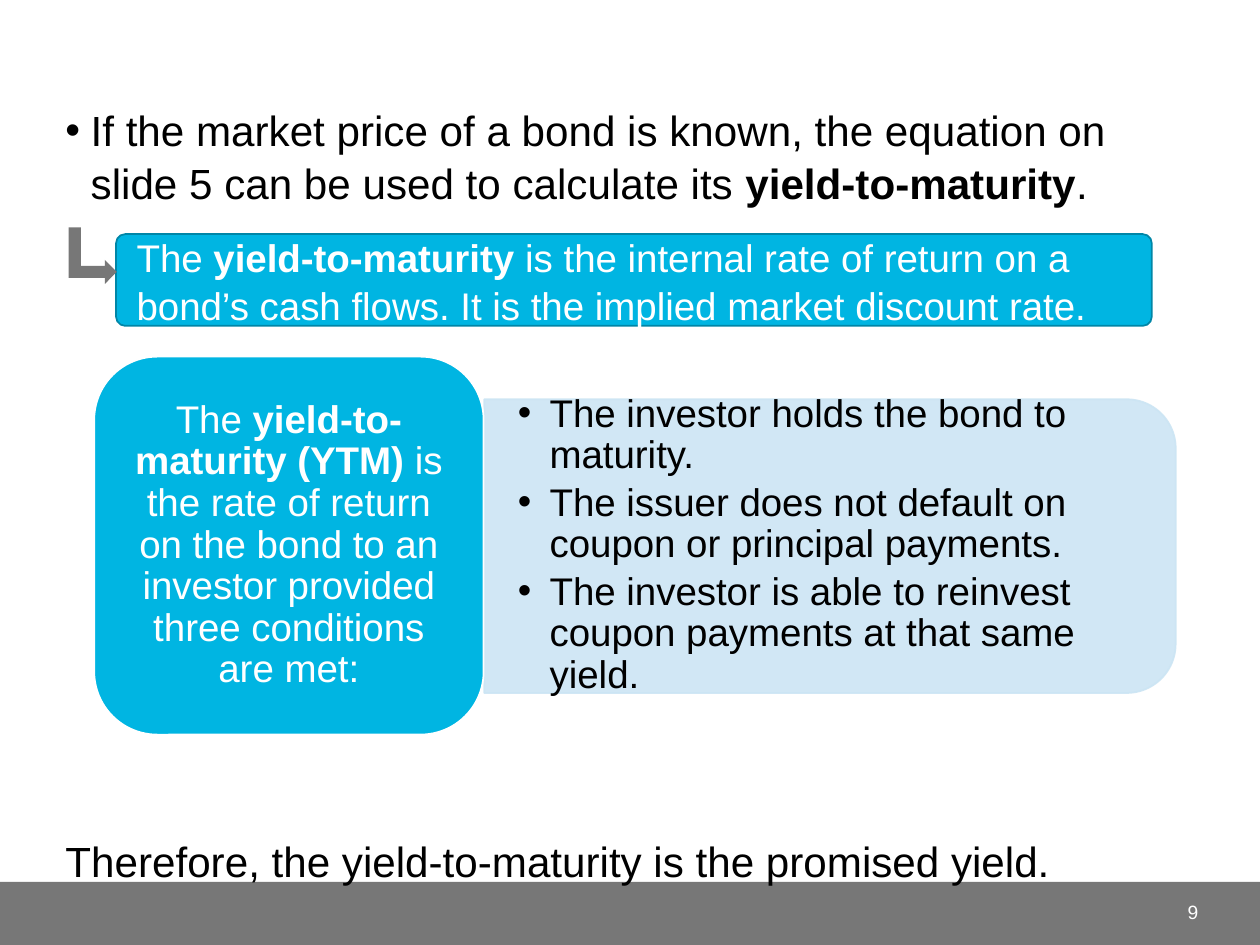
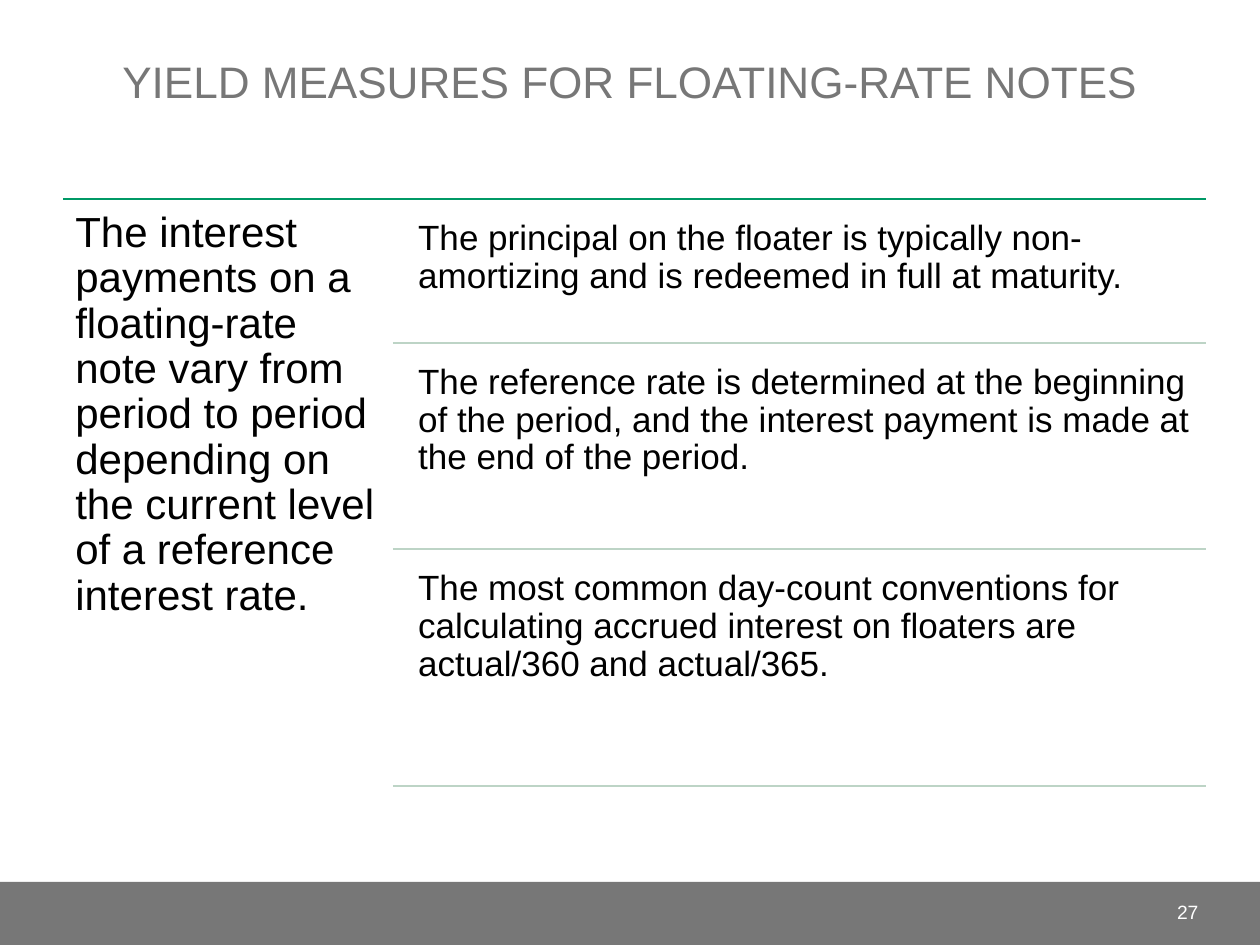
from itertools import pairwise

from lxml import etree
from pptx import Presentation
from pptx.dml.color import RGBColor
from pptx.enum import shapes, text
from pptx.oxml import ns
from pptx.util import Cm, Pt

WHITE = RGBColor(0xFF, 0xFF, 0xFF)
BLACK = RGBColor(0x00, 0x00, 0x00)
GRAY = RGBColor(0x77, 0x77, 0x77)
CYAN = RGBColor(0x00, 0xB5, 0xE2)
TEAL = RGBColor(0x00, 0x86, 0xA7)
PALE = RGBColor(0xCC, 0xE5, 0xF4)
GREEN = RGBColor(0x00, 0x99, 0x66)
SAGE = RGBColor(0xBD, 0xD4, 0xC6)

FONT = "Arial"
WIDE, HIGH = 25.4, 19.05
BAND = 1.27
SIDE = 1.07
INSET = (0.25, 0.13)
FORM = shapes.MSO_SHAPE
MID = text.MSO_ANCHOR.MIDDLE
ALIGN = text.PP_ALIGN


def sub(node, tag, **attrs):
    return etree.SubElement(node, ns.qn(tag), **attrs)


def write(shape, paras, size, color, align=ALIGN.LEFT, anchor=text.MSO_ANCHOR.TOP,
          inset=INSET, lead=1.0, after=0, hang=0):
    """Fill a shape with paragraphs of (words, bold) runs; hang adds bullets."""
    frame = shape.text_frame
    frame.word_wrap = True
    frame.vertical_anchor = anchor
    frame.margin_left = frame.margin_right = Cm(inset[0])
    frame.margin_top = frame.margin_bottom = Cm(inset[1])
    for i, runs in enumerate(paras):
        para = frame.paragraphs[0] if i == 0 else frame.add_paragraph()
        para.alignment = align
        para.line_spacing = lead
        para.space_after = Pt(after)
        if hang:
            props = para._p.get_or_add_pPr()
            props.set("marL", str(Cm(hang)))
            props.set("indent", str(-Cm(hang)))
            sub(props, "a:buFont", typeface=FONT)
            sub(props, "a:buChar", char="•")
        for words, bold in runs:
            run = para.add_run()
            run.text = words
            font = run.font
            font.name, font.size, font.bold = FONT, Pt(size), bold
            font.color.rgb = color


def add_text(slide, box, paras, size, color, **style):
    shape = slide.shapes.add_textbox(*map(Cm, box))
    write(shape, paras, size, color, **style)


def add_form(slide, form, box, fill, line=None, turn=0):
    shape = slide.shapes.add_shape(form, *map(Cm, box))
    shape.shadow.inherit = False
    shape.rotation = turn
    shape.fill.solid()
    shape.fill.fore_color.rgb = fill
    if line is None:
        shape.line.fill.background()
    else:
        shape.line.color.rgb = line
        shape.line.width = Pt(1)
    return shape


def add_rule(slide, left, right, top, color):
    rule = slide.shapes.add_connector(
        shapes.MSO_CONNECTOR.STRAIGHT, Cm(left), Cm(top), Cm(right), Cm(top))
    rule.line.color.rgb = color
    rule.line.width = Pt(1)
    sub(rule._element.spPr, "a:effectLst")


def fade(shape, percent):
    """Make the fill and line of a shape partly opaque."""
    for node in shape._element.spPr.iter(ns.qn("a:srgbClr")):
        sub(node, "a:alpha", val=str(percent * 1000))


def add_slide(deck, page):
    """Add a blank slide with the footer band and page number."""
    slide = deck.slides.add_slide(deck.slide_layouts[6])
    add_form(slide, FORM.RECTANGLE, (0, HIGH - BAND, WIDE, BAND), GRAY)
    add_text(slide, (22.23, 17.88, 2.18, 1.02), [[(page, False)]], 11, WHITE,
             align=ALIGN.RIGHT, anchor=MID)
    return slide


def add_title(slide, words):
    add_text(slide, (SIDE, 1.22, WIDE - 2 * SIDE, 1.07), [[(words, False)]],
             25.2, GRAY, align=ALIGN.CENTER, anchor=text.MSO_ANCHOR.BOTTOM)


def draw_yield(deck):
    slide = add_slide(deck, "9")
    width = WIDE - 2 * SIDE
    add_text(slide, (SIDE, 1.93, width, 2.5), [[
        ("If the market price of a bond is known, the equation on slide 5 "
         "can be used to calculate its ", False),
        ("yield-to-maturity", True), (".", False)]],
        24.1, BLACK, lead=1.05, hang=0.51)
    add_text(slide, (SIDE, 16.66, width, 1.1), [[
        ("Therefore, the yield-to-maturity is the promised yield.", False)]],
        24.1, BLACK, lead=1.05)

    note = add_form(slide, FORM.ROUNDED_RECTANGLE, (2.34, 4.72, 20.88, 1.85), CYAN, TEAL)
    note.adjustments[0] = 0.1
    write(note, [[
        ("The ", False), ("yield-to-maturity", True),
        (" is the internal rate of return on a bond’s cash flows. "
         "It is the implied market discount rate.", False)]],
        22, WHITE, anchor=MID, inset=(0.36, 0.13), lead=1.05)
    add_form(slide, FORM.BENT_UP_ARROW, (1.3, 4.67, 1.14, 0.97), GRAY, turn=90)

    panel = add_form(slide, FORM.ROUND_2_SAME_RECTANGLE, (13.77, 4.04, 5.92, 13.94),
                     PALE, PALE, turn=90)
    fade(panel, 90)
    terms = ("The investor holds the bond to maturity.",
             "The issuer does not default on coupon or principal payments.",
             "The investor is able to reinvest coupon payments at that same yield.")
    add_text(slide, (9.75, 8.33, 13.64, 5.33), [[(term, False)] for term in terms],
             22, BLACK, anchor=MID, inset=(0.69, 0.36), lead=0.9, after=3.3, hang=0.64)

    card = add_form(slide, FORM.ROUNDED_RECTANGLE, (1.9, 7.19, 7.85, 7.62), CYAN, WHITE)
    write(card, [[
        ("The ", False), ("yield-to-maturity (YTM) ", True),
        ("is the rate of return on the bond to an investor provided "
         "three conditions are met:", False)]],
        22, WHITE, align=ALIGN.CENTER, anchor=MID, inset=(0.23, 0.13), lead=0.9)


def draw_notes(deck):
    slide = add_slide(deck, "27")
    add_title(slide, "YIELD MEASURES FOR FLOATING-RATE NOTES")
    tops = (4.01, 6.91, 11.07, 15.85)
    left, split, right, gap = 1.27, 7.92, 24.32, 0.23
    add_rule(slide, left, right, tops[0], GREEN)
    add_text(slide, (left, tops[0], split - left, 12.07), [[
        ("The interest payments on a floating-rate note vary from period to "
         "period depending on the current level of a reference interest rate.", False)]],
        24, BLACK, inset=(0.25, 0.25), lead=0.9)
    facts = (
        "The principal on the floater is typically non-amortizing and is "
        "redeemed in full at maturity.",
        "The reference rate is determined at the beginning of the period, and "
        "the interest payment is made at the end of the period.",
        "The most common day-count conventions for calculating accrued interest "
        "on floaters are actual/360 and actual/365.")
    for fact, (top, end) in zip(facts, pairwise(tops)):
        start = split + 0.31
        add_text(slide, (start, top + gap, right - start, end - top - gap),
                 [[(fact, False)]], 20, BLACK, inset=(0.2, 0.2), lead=0.9)
        add_rule(slide, split, right, end, SAGE)


def main():
    deck = Presentation()
    deck.slide_width, deck.slide_height = Cm(WIDE), Cm(HIGH)
    draw_yield(deck)
    draw_notes(deck)
    deck.save("out.pptx")


if __name__ == "__main__":
    main()
